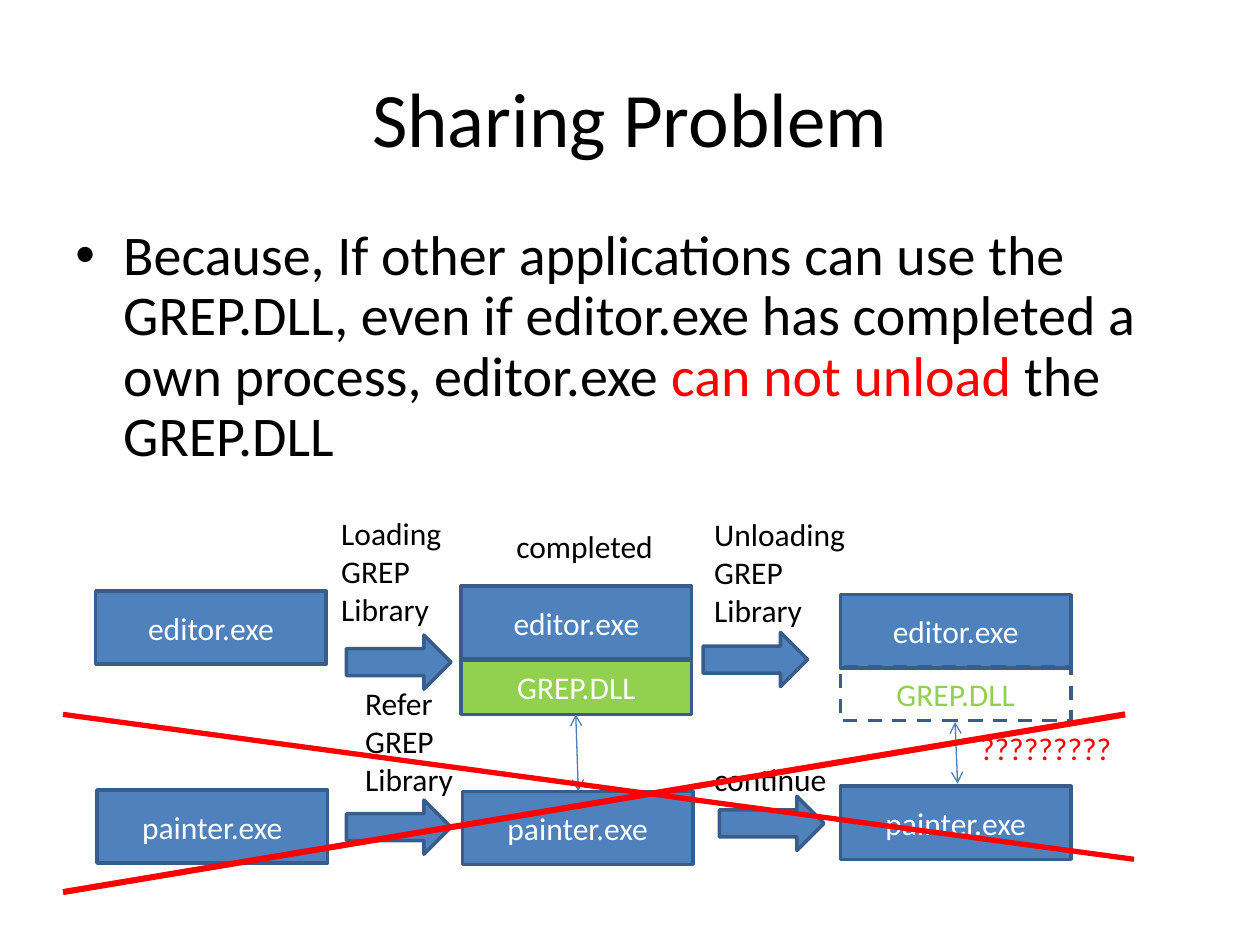
from pptx import Presentation
from pptx.dml.color import RGBColor
from pptx.enum.dml import MSO_LINE
from pptx.enum.shapes import MSO_CONNECTOR, MSO_SHAPE
from pptx.enum.text import MSO_ANCHOR, MSO_AUTO_SIZE, PP_ALIGN
from pptx.oxml.ns import qn
from pptx.util import Inches, Pt
from lxml.etree import SubElement

BLACK = RGBColor(0x00, 0x00, 0x00)
WHITE = RGBColor(0xFF, 0xFF, 0xFF)
RED = RGBColor(0xFF, 0x00, 0x00)
BLUE = RGBColor(0x4F, 0x81, 0xBD)
NAVY = RGBColor(0x38, 0x5D, 0x8A)
STEEL = RGBColor(0x4A, 0x7E, 0xBB)
GREEN = RGBColor(0x92, 0xD0, 0x50)


class Deck:
    font = "Calibri"
    cell = Inches(0.1)
    box_width = 18.3
    exe_height, dll_height = 5.8, 4.3

    def __init__(self):
        self.prs = Presentation()
        self.prs.slide_width, self.prs.slide_height = Inches(10), Inches(7.5)
        self.s = self.prs.slides.add_slide(self.prs.slide_layouts[6])

    def grid(self, *units):
        return [int(u * self.cell) for u in units]

    def style(self, tf, size, color, align=PP_ALIGN.LEFT):
        for p in tf.paragraphs:
            p.alignment = align
            for r in p.runs:
                r.font.name, r.font.size = self.font, Pt(size)
                r.font.color.rgb = color

    def title(self, text, *at):
        tf = self.s.shapes.add_textbox(*self.grid(*at)).text_frame
        tf.word_wrap = True
        tf.vertical_anchor = MSO_ANCHOR.MIDDLE
        tf.text = text
        self.style(tf, 44, BLACK, PP_ALIGN.CENTER)

    def bullet(self, parts, *at):
        tf = self.s.shapes.add_textbox(*self.grid(*at)).text_frame
        tf.word_wrap = True
        p = tf.paragraphs[0]
        p.line_spacing, p.space_before = 0.9, Pt(8)
        for text, _ in parts:
            p.add_run().text = text
        self.style(tf, 32, BLACK)
        for r, (_, color) in zip(p.runs, parts):
            r.font.color.rgb = color
        pPr = p._p.get_or_add_pPr()
        pPr.set("marL", str(Inches(0.38)))
        pPr.set("indent", str(-Inches(0.38)))
        SubElement(pPr, qn("a:buFont"), typeface="Arial")
        SubElement(pPr, qn("a:buChar"), char="•")

    def shape(self, kind, fill, *at):
        sp = self.s.shapes.add_shape(kind, *self.grid(*at))
        sp.shadow.inherit = False
        if fill is None:
            sp.fill.background()
        else:
            sp.fill.solid()
            sp.fill.fore_color.rgb = fill
        sp.line.color.rgb, sp.line.width = NAVY, Pt(2)
        return sp

    def box(self, text, col, row, height, fill=BLUE, color=WHITE):
        sp = self.shape(MSO_SHAPE.RECTANGLE, fill, col, row, self.box_width, height)
        tf = sp.text_frame
        tf.vertical_anchor = MSO_ANCHOR.MIDDLE
        tf.text = text
        self.style(tf, 18, color, PP_ALIGN.CENTER)
        return sp

    def exe(self, name, col, row):
        self.box(f"{name}.exe", col, row, self.exe_height)

    def dll(self, col, row, loaded=True):
        fill, color = (GREEN, WHITE) if loaded else (None, GREEN)
        sp = self.box("GREP.DLL", col, row, self.dll_height, fill, color)
        if not loaded:
            sp.line.dash_style = MSO_LINE.DASH

    def arrow(self, col, row):
        self.shape(MSO_SHAPE.RIGHT_ARROW, BLUE, col, row, 8.3, 4.3)

    def label(self, text, col, row, width, color=BLACK):
        height = 1 + 3 * len(text.split("\n"))
        tf = self.s.shapes.add_textbox(*self.grid(col, row, width, height)).text_frame
        tf.word_wrap = False
        tf.auto_size = MSO_AUTO_SIZE.SHAPE_TO_FIT_TEXT
        tf.text = text
        self.style(tf, 18, color)

    def line(self, start, end, color, width, arrows=False):
        c = self.s.shapes.add_connector(MSO_CONNECTOR.STRAIGHT, *self.grid(*start, *end))
        c.line.color.rgb, c.line.width = color, Pt(width)
        if arrows:
            ln = c.line._get_or_add_ln()
            for end_tag in ("a:headEnd", "a:tailEnd"):
                SubElement(ln, qn(end_tag), type="arrow")
        SubElement(c._element.spPr, qn("a:effectLst"))


def main():
    d = Deck()
    d.title("Sharing Problem", 5, 3, 90, 12.5)
    d.bullet(
        [
            ("Because, If other applications can use the GREP.DLL, even if "
             "editor.exe has completed a own process, editor.exe ", BLACK),
            ("can not unload ", RED),
            ("the GREP.DLL", BLACK),
        ],
        5, 17.5, 90, 21.7,
    )

    for name, col, row in [
        ("editor", 7.6, 46.9), ("editor", 36.6, 46.5), ("editor", 66.7, 47.2),
        ("painter", 7.7, 62.7), ("painter", 36.7, 62.8), ("painter", 66.7, 62.4),
    ]:
        d.exe(name, col, row)
    for col, row in [(27.5, 50.4), (55.8, 50.2), (27.5, 63.5), (57.1, 63.2)]:
        d.arrow(col, row)
    d.dll(36.6, 52.4)
    d.line((45.9, 62.8), (45.7, 56.7), STEEL, 0.75, arrows=True)
    d.line((76, 62.2), (75.8, 57.3), STEEL, 0.75, arrows=True)
    d.dll(66.7, 52.9, loaded=False)

    for text, col, row, width in [
        ("Loading\nGREP\nLibrary", 26.1, 40.3, 10.2),
        ("Unloading\nGREP\nLibrary", 55.7, 40.4, 12.5),
        ("completed", 40, 41.3, 13),
        ("Refer\nGREP\nLibrary", 28, 53.8, 9.1),
        ("continue", 55.7, 59.8, 11),
    ]:
        d.label(text, col, row, width)
    d.label("?????????", 76.8, 57.4, 12.4, RED)

    d.line((5, 56.7), (90, 68.2), RED, 3)
    d.line((5, 70.8), (89.3, 56.7), RED, 3.5)
    d.prs.save("out.pptx")


if __name__ == "__main__":
    main()
